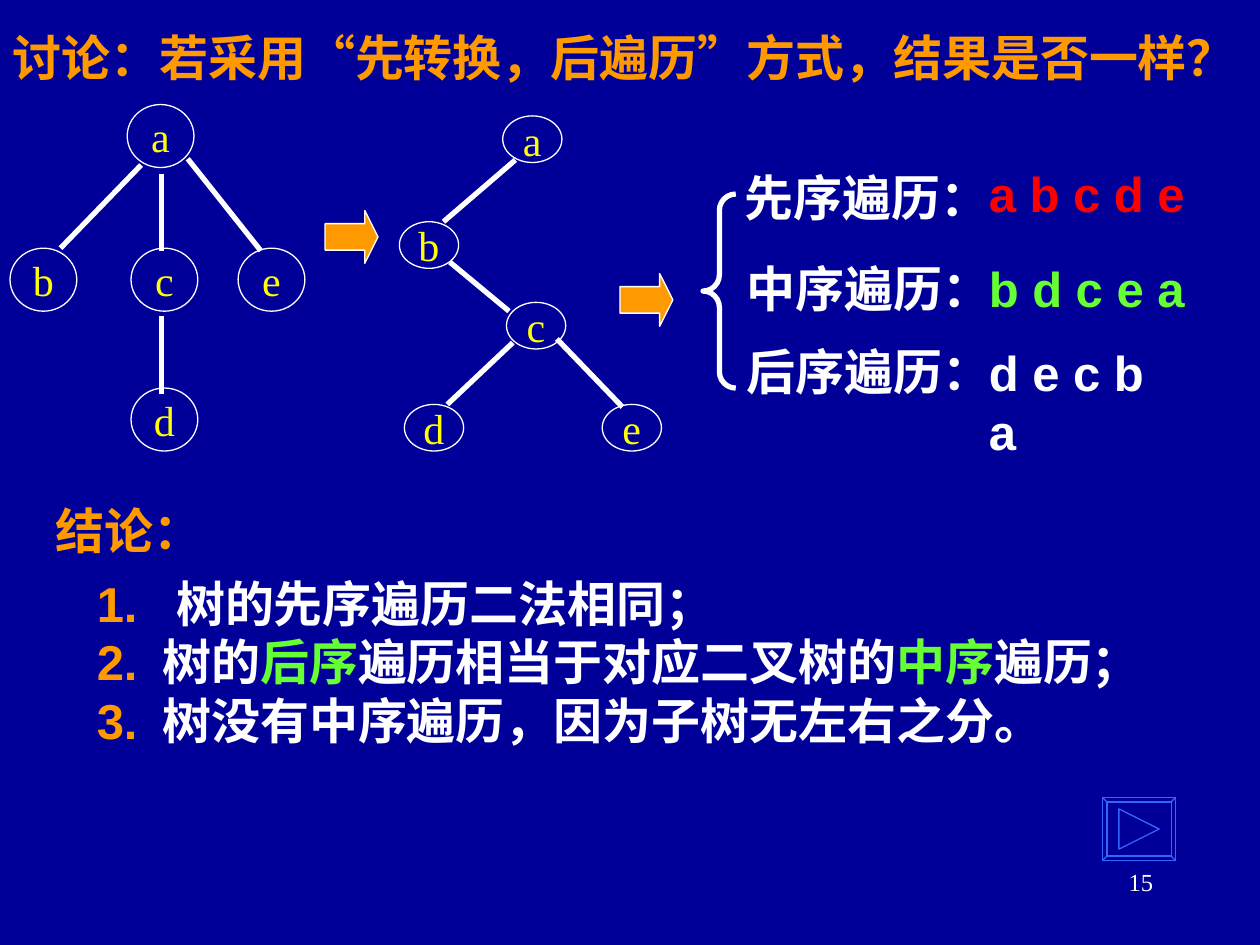
from dataclasses import dataclass
from typing import NamedTuple

from lxml.etree import SubElement
from pptx import Presentation
from pptx.dml.color import RGBColor
from pptx.enum.shapes import MSO_CONNECTOR, MSO_SHAPE
from pptx.enum.text import MSO_ANCHOR, MSO_AUTO_SIZE, PP_ALIGN
from pptx.oxml.ns import qn
from pptx.util import Inches, Pt

SLIDE_WIDTH, SLIDE_HEIGHT = Inches(10), Inches(7.5)
COLUMNS, ROWS = 100, 75


@dataclass(frozen=True)
class Theme:
    background: str = "000099"
    accent: str = "FF9900"
    plain: str = "FFFFFF"
    node: str = "FFFF00"
    preorder: str = "FF0000"
    inorder: str = "66FF33"
    button: str = "3366FF"
    sans: str = "Arial"
    serif: str = "Times New Roman"
    body_size: float = 28
    node_size: float = 24
    number_size: float = 14
    thin: float = 0.75
    thick: float = 3


THEME = Theme()


class Box(NamedTuple):
    left: float
    top: float
    width: float
    height: float

    def emu(self):
        return x(self.left), y(self.top), x(self.width), y(self.height)


class Node(NamedTuple):
    letter: str
    left: float
    top: float


class Edge(NamedTuple):
    x1: float
    y1: float
    x2: float
    y2: float


class Tree(NamedTuple):
    node_width: float
    node_height: float
    nodes: list[Node]
    edges: list[Edge]


class Label(NamedTuple):
    words: str
    box: Box
    color: str
    wrap: bool = False


class Conclusion(NamedTuple):
    number: str
    indent: float
    phrases: list[tuple[str, str]]


GENERAL_TREE = Tree(
    5.3, 5,
    [Node("a", 10.1, 8.3), Node("b", 0.8, 19.7), Node("c", 10.4, 19.7),
     Node("e", 18.9, 19.7), Node("d", 10.4, 30.8)],
    [Edge(11.2, 13.1, 4.8, 19.7), Edge(14.9, 12.6, 20.7, 19.9),
     Edge(12.8, 13.8, 12.8, 19.9), Edge(12.8, 25.1, 12.8, 31.3)],
)
BINARY_TREE = Tree(
    4.7, 3.7,
    [Node("a", 39.9, 9.2), Node("b", 31.7, 17.6), Node("c", 40.2, 24),
     Node("d", 32.1, 32.1), Node("e", 47.8, 32.1)],
    [Edge(40.9, 12.7, 35.2, 17.6), Edge(35.7, 20.8, 40.4, 24.7),
     Edge(40.7, 27.2, 35.5, 32.1), Edge(44.2, 26.9, 49.4, 32.3)],
)
ARROWS = [Box(25.8, 16.7, 4.2, 4.2), Box(49.2, 21.7, 4.2, 4.2)]
BRACE = Box(55.8, 15.4, 2.6, 15.4)
LABELS = [
    Label("先序遍历：", Box(58.1, 12.8, 21.4, 5.7), THEME.plain),
    Label("中序遍历：", Box(58.3, 20, 21.4, 5.7), THEME.plain),
    Label("后序遍历：", Box(58.3, 26.6, 21.4, 5.7), THEME.plain),
    Label("a b c d e", Box(77.5, 12.5, 19.2, 5.7), THEME.preorder, True),
    Label("b d c e a", Box(77.5, 20, 18.3, 5.7), THEME.inorder, True),
    Label("d e c b a", Box(77.5, 26.7, 17.5, 5.7), THEME.plain),
    Label("结论：", Box(3.4, 39.2, 13.6, 5.7), THEME.accent),
]
CONCLUSIONS = [
    Conclusion("1.", 6.3, [("树的先序遍历二法相同；", THEME.plain)]),
    Conclusion("2.", 5.2, [("树的", THEME.plain), ("后序", THEME.inorder),
                           ("遍历相当于对应二叉树的", THEME.plain),
                           ("中序", THEME.inorder), ("遍历；", THEME.plain)]),
    Conclusion("3.", 5.2, [("树没有中序遍历，因为子树无左右之分。", THEME.plain)]),
]


def x(columns: float) -> int:
    return round(SLIDE_WIDTH * columns / COLUMNS)


def y(rows: float) -> int:
    return round(SLIDE_HEIGHT * rows / ROWS)


def style(font, color: str, size: float = THEME.body_size,
          name: str = THEME.sans, bold: bool = True) -> None:
    font.name, font.size, font.bold = name, Pt(size), bold
    font.color.rgb = RGBColor.from_string(color)


def outline(line, color: str, width: float) -> None:
    line.color.rgb = RGBColor.from_string(color)
    line.width = Pt(width)


def draw_shape(shapes, kind, box: Box, width: float = THEME.thin, fill: str = ""):
    shape = shapes.add_shape(kind, *box.emu())
    shape.shadow.inherit = False
    if fill:
        shape.fill.solid()
        shape.fill.fore_color.rgb = RGBColor.from_string(fill)
    else:
        shape.fill.background()
    outline(shape.line, THEME.plain, width)
    return shape


def draw_tree(shapes, tree: Tree) -> None:
    members = shapes.add_group_shape().shapes
    for node in tree.nodes:
        box = Box(node.left, node.top, tree.node_width, tree.node_height)
        frame = draw_shape(members, MSO_SHAPE.OVAL, box).text_frame
        frame.text = node.letter
        frame.word_wrap = False
        frame.vertical_anchor = MSO_ANCHOR.MIDDLE
        frame.paragraphs[0].alignment = PP_ALIGN.CENTER
        style(frame.paragraphs[0].runs[0].font, THEME.node,
              THEME.node_size, THEME.serif, False)
    for edge in tree.edges:
        branch = members.add_connector(MSO_CONNECTOR.STRAIGHT, x(edge.x1),
                                       y(edge.y1), x(edge.x2), y(edge.y2))
        outline(branch.line, THEME.plain, THEME.thick)
        SubElement(branch._element.spPr, qn("a:effectLst"))


def draw_label(shapes, label: Label) -> None:
    frame = shapes.add_textbox(*label.box.emu()).text_frame
    frame.text = label.words
    frame.word_wrap = label.wrap
    frame.auto_size = MSO_AUTO_SIZE.SHAPE_TO_FIT_TEXT
    style(frame.paragraphs[0].runs[0].font, label.color)


def draw_conclusions(shapes, box: Box) -> None:
    frame = shapes.add_textbox(*box.emu()).text_frame
    frame.word_wrap = True
    for index, conclusion in enumerate(CONCLUSIONS):
        paragraph = frame.add_paragraph() if index else frame.paragraphs[0]
        stops = SubElement(paragraph._p.get_or_add_pPr(), qn("a:tabLst"))
        SubElement(stops, qn("a:tab"), pos=str(x(conclusion.indent)), algn="l")
        for words, color in [(conclusion.number + "\t", THEME.accent), *conclusion.phrases]:
            run = paragraph.add_run()
            run.text = words
            style(run.font, color)


def draw_button(shapes, box: Box, bevel: float) -> None:
    left, top = box.left, box.top
    right, bottom = left + box.width, top + box.height
    outer = [(left, top), (right, top), (right, bottom), (left, bottom)]
    inner = [(left + bevel, top + bevel), (right - bevel, top + bevel),
             (right - bevel, bottom - bevel), (left + bevel, bottom - bevel)]
    play = [(left + 1.3, top + 0.9), (right - 1.3, top + box.height / 2),
            (left + 1.3, bottom - 0.9)]
    builder = shapes.build_freeform(x(left), y(top))
    for contour in [outer, inner, play, *zip(outer, inner)]:
        start, *rest = [(x(column), y(row)) for column, row in contour]
        builder.move_to(*start)
        builder.add_line_segments(rest, close=len(contour) > 2)
    button = builder.convert_to_shape()
    button.shadow.inherit = False
    button.fill.background()
    outline(button.line, THEME.button, THEME.thin)


def main() -> None:
    deck = Presentation()
    deck.slide_width, deck.slide_height = SLIDE_WIDTH, SLIDE_HEIGHT
    slide = deck.slides.add_slide(deck.slide_layouts[5])
    slide.background.fill.solid()
    slide.background.fill.fore_color.rgb = RGBColor.from_string(THEME.background)
    shapes = slide.shapes

    title = shapes.title
    title.left, title.top, title.width, title.height = Box(0, 1.7, 96.7, 5.7).emu()
    heading = title.text_frame
    heading.text = "讨论：若采用“先转换，后遍历”方式，结果是否一样？"
    heading.word_wrap = True
    heading.auto_size = MSO_AUTO_SIZE.SHAPE_TO_FIT_TEXT
    heading.vertical_anchor = MSO_ANCHOR.TOP
    heading.paragraphs[0].alignment = PP_ALIGN.LEFT
    style(heading.paragraphs[0].runs[0].font, THEME.accent)

    for tree in (GENERAL_TREE, BINARY_TREE):
        draw_tree(shapes, tree)
    for box in ARROWS:
        arrow = draw_shape(shapes, MSO_SHAPE.RIGHT_ARROW, box, fill=THEME.accent)
        arrow.adjustments[1] = 0.25
    brace = draw_shape(shapes, MSO_SHAPE.LEFT_BRACE, BRACE, THEME.thick)
    brace.adjustments[0] = 0.5
    for label in LABELS:
        draw_label(shapes, label)
    draw_conclusions(shapes, Box(6.7, 45, 85, 15))
    draw_button(shapes, Box(87.5, 63.3, 5.8, 5), 0.35)

    page = shapes.add_textbox(*Box(71.7, 68.3, 20.8, 5).emu()).text_frame
    page.text = "15"
    page.paragraphs[0].alignment = PP_ALIGN.RIGHT
    style(page.paragraphs[0].runs[0].font, THEME.plain,
          THEME.number_size, THEME.serif, False)
    deck.save("out.pptx")


if __name__ == "__main__":
    main()
